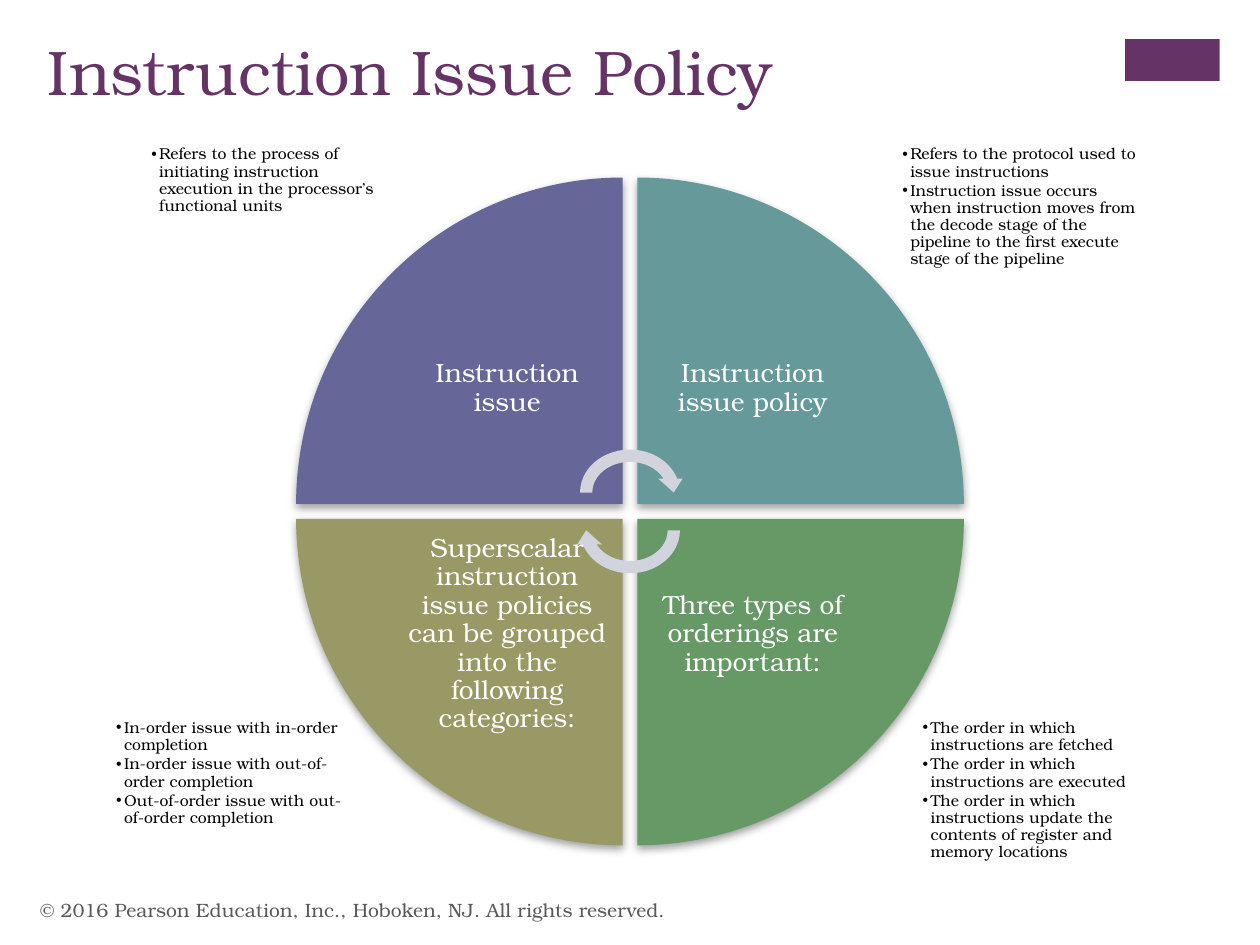
from dataclasses import dataclass

from lxml.etree import SubElement
from pptx import Presentation
from pptx.dml.color import RGBColor
from pptx.enum.shapes import MSO_SHAPE
from pptx.enum.text import MSO_ANCHOR, MSO_AUTO_SIZE, PP_ALIGN
from pptx.oxml.ns import qn
from pptx.util import Cm, Pt


@dataclass(frozen=True)
class Theme:
    font: str = "TeX Gyre Bonum"
    accent: str = "663366"
    footer: str = "595959"
    body: str = "000000"
    light: str = "FFFFFF"
    arrow: str = "D3D3DE"
    shadow: str = "808080"
    title_size: float = 36
    wedge_size: float = 15
    footer_size: float = 11
    list_size: float = 9


theme = Theme()


def write(shape, *texts, size, color, align=PP_ALIGN.LEFT, anchor=MSO_ANCHOR.TOP,
          inset=None, line_spacing=1.0, space_after=0, bullet=False):
    """Fill a shape with one formatted paragraph per text."""
    frame = shape.text_frame
    frame.word_wrap = True
    frame.auto_size = MSO_AUTO_SIZE.NONE
    frame.vertical_anchor = anchor
    if inset is not None:
        frame.margin_left = frame.margin_right = inset
        frame.margin_top = frame.margin_bottom = inset
    for index, text in enumerate(texts):
        paragraph = frame.add_paragraph() if index else frame.paragraphs[0]
        if bullet:
            properties = paragraph._p.get_or_add_pPr()
            properties.set("marL", str(Cm(0.16)))
            properties.set("indent", str(-Cm(0.16)))
            SubElement(properties, qn("a:buChar"), char="•")
        paragraph.alignment = align
        paragraph.line_spacing = line_spacing
        paragraph.space_before = Pt(0)
        paragraph.space_after = Pt(space_after)
        run = paragraph.add_run()
        run.text = text
        run.font.name = theme.font
        run.font.size = Pt(size)
        run.font.bold = False
        run.font.color.rgb = RGBColor.from_string(color)


def add_filled(kind, left, top, width, height, color, rotation=0):
    """Add a preset shape with a plain fill, no line and no shadow."""
    shape = slide.shapes.add_shape(kind, Cm(left), Cm(top), Cm(width), Cm(height))
    shape.fill.solid()
    shape.fill.fore_color.rgb = RGBColor.from_string(color)
    shape.line.fill.background()
    shape.shadow.inherit = False
    shape.rotation = rotation
    return shape


presentation = Presentation()
presentation.slide_width, presentation.slide_height = Cm(25.4), Cm(19.05)
slide = presentation.slides.add_slide(presentation.slide_layouts.get_by_name("Comparison"))

# Title, corner block and footer
title = slide.shapes.title
title.left, title.top, title.width, title.height = Cm(0.71), Cm(0.53), Cm(20.98), Cm(3.1)
write(title, "Instruction Issue Policy", size=theme.title_size, color=theme.accent)

add_filled(MSO_SHAPE.RECTANGLE, 22.68, 0.79, 1.91, 0.84, theme.accent)

footer = slide.shapes.add_textbox(Cm(0.56), Cm(17.83), Cm(17.02), Cm(1.02))
write(footer, "© 2016 Pearson Education, Inc., Hoboken, NJ. All rights reserved.",
      size=theme.footer_size, color=theme.footer, anchor=MSO_ANCHOR.MIDDLE)

# Clockwise from top left: horizontal side, vertical side, colour, heading, list left, list top, items
quadrants = [
    (-1, -1, "666699", "Instruction issue", 2.92, 2.82, [
        "Refers to the process of initiating instruction execution in the processor’s functional units",
    ]),
    (1, -1, "669999", "Instruction issue policy", 18.06, 2.82, [
        "Refers to the protocol used to issue instructions",
        "Instruction issue occurs when instruction moves from the decode stage of the pipeline "
        "to the first execute stage of the pipeline",
    ]),
    (1, 1, "669966", "Three types of orderings are important:", 18.47, 14.38, [
        "The order in which instructions are fetched",
        "The order in which instructions are executed",
        "The order in which instructions update the contents of register and memory locations",
    ]),
    (-1, 1, "999966",
     "Superscalar instruction issue policies can be grouped into the following categories:",
     2.21, 14.38, [
         "In-order issue with in-order completion",
         "In-order issue with out-of-order completion",
         "Out-of-order issue with out-of-order completion",
     ]),
]
center_x, center_y = 12.7, 10.31
half_gap, wedge_side, label_side = 0.15, 6.58, 4.65

for index, (side_x, side_y, color, heading, left, top, items) in enumerate(quadrants):
    body = slide.placeholders[index + 1]
    body.left, body.top, body.width, body.height = Cm(left), Cm(top), Cm(5.05), Cm(3.43)
    write(body, *items, size=theme.list_size, color=theme.body, inset=Cm(0.13),
          line_spacing=0.9, space_after=1.35, bullet=True)

    wedge_left, label_left = (
        center_x + half_gap if side_x > 0 else center_x - half_gap - side
        for side in (wedge_side, label_side))
    wedge_top, label_top = (
        center_y + half_gap if side_y > 0 else center_y - half_gap - side
        for side in (wedge_side, label_side))

    wedge = add_filled(MSO_SHAPE.PIE_WEDGE, wedge_left, wedge_top, wedge_side, wedge_side,
                       color, rotation=90 * index)
    effects = wedge._element.spPr.find(qn("a:effectLst"))
    shadow = SubElement(effects, qn("a:outerShdw"), blurRad=str(Pt(5)), dist=str(Pt(2)),
                        dir="5400000", rotWithShape="0")
    shadow_color = SubElement(shadow, qn("a:srgbClr"), val=theme.shadow)
    SubElement(shadow_color, qn("a:alpha"), val="75000")

    label = slide.shapes.add_textbox(Cm(label_left), Cm(label_top), Cm(label_side), Cm(label_side))
    write(label, heading, size=theme.wedge_size, color=theme.light, align=PP_ALIGN.CENTER,
          anchor=MSO_ANCHOR.MIDDLE, inset=Cm(0.3), line_spacing=0.9)

# Rotation arrows at the hub
arrow_width, arrow_height = 2.26, 1.98
for offset, rotation in ((-0.38, 0), (0.38, 180)):
    add_filled(MSO_SHAPE.CIRCULAR_ARROW, center_x - arrow_width / 2,
               center_y + offset - arrow_height / 2, arrow_width, arrow_height,
               theme.arrow, rotation)

presentation.save("out.pptx")
